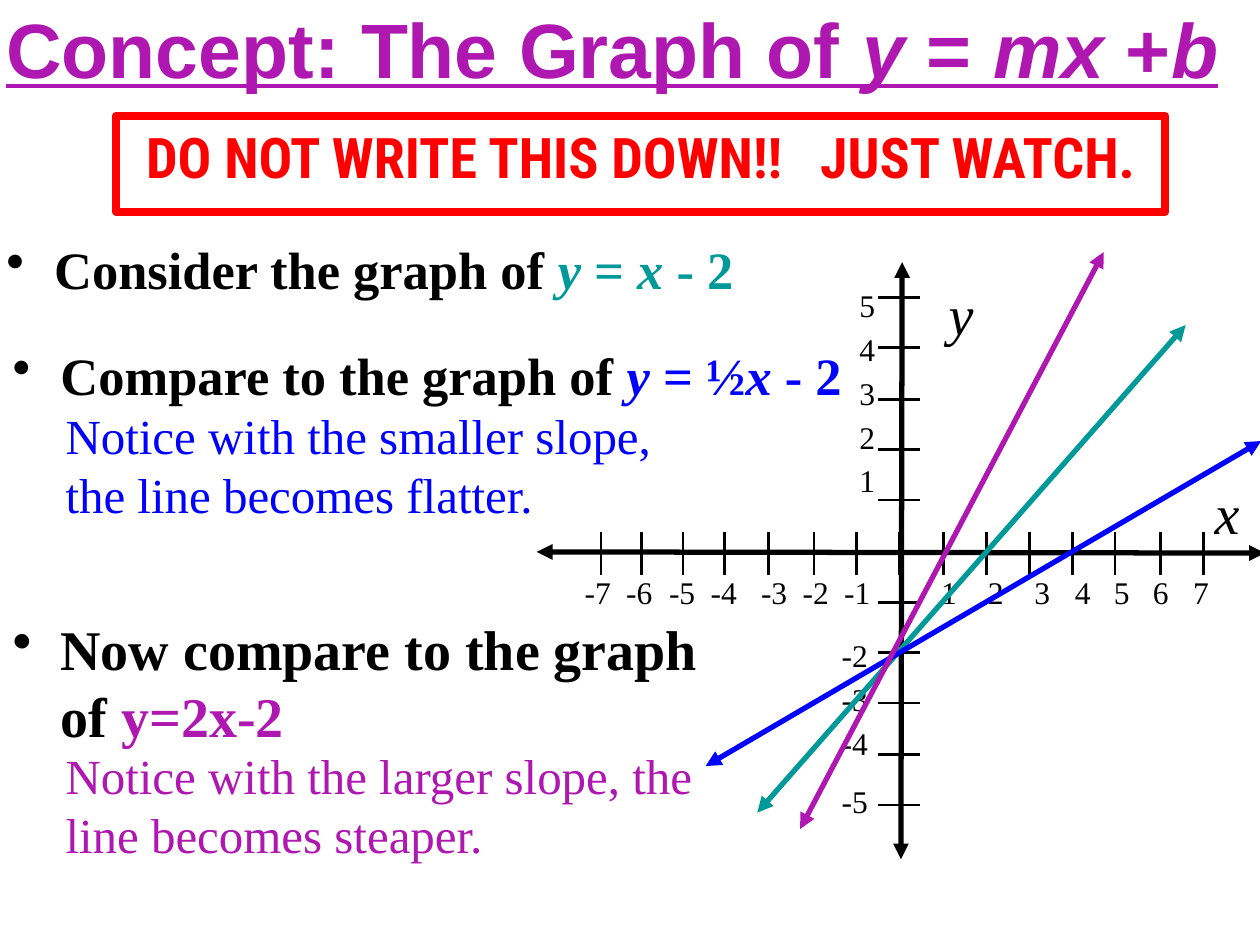
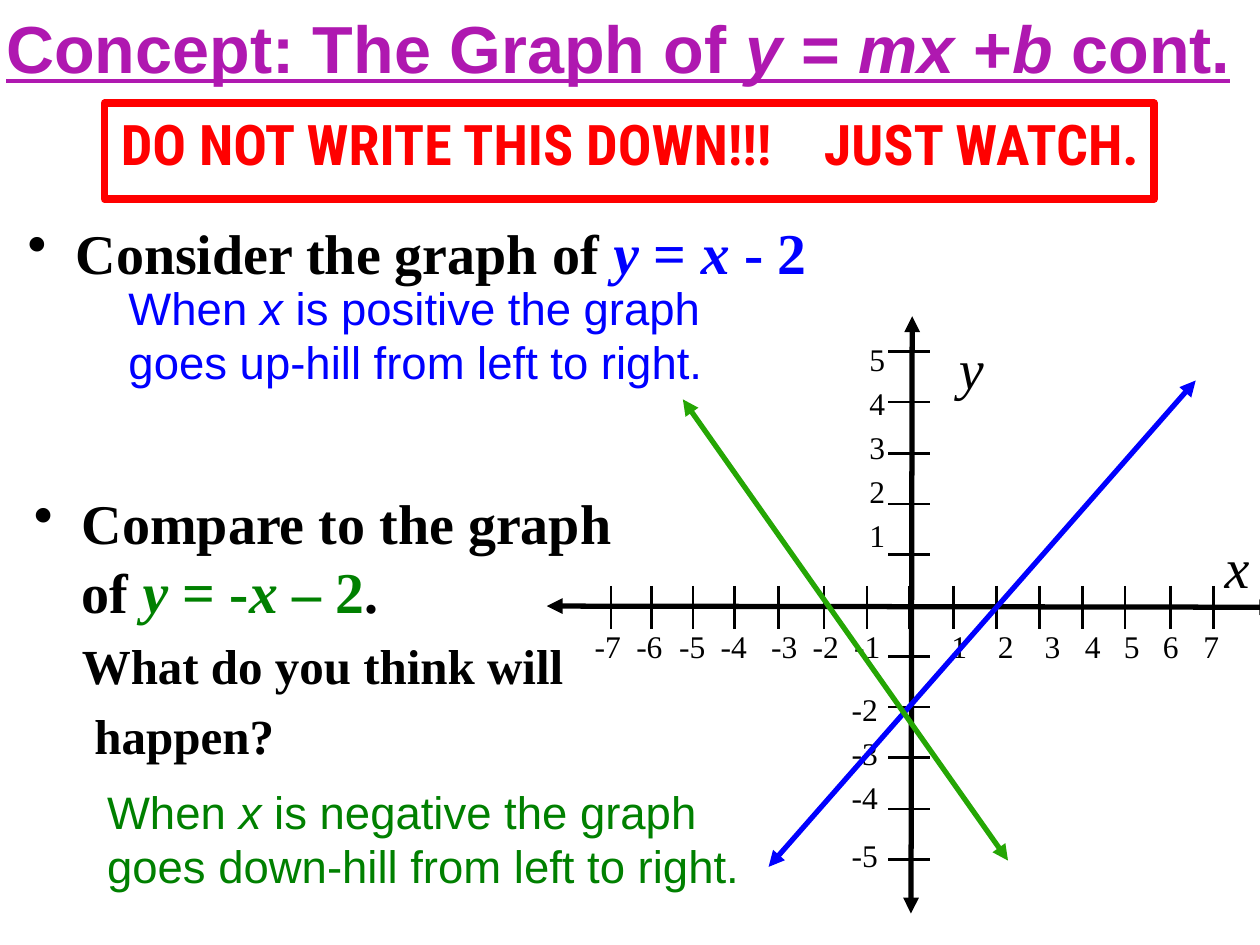
import dataclasses

import pptx
import pptx.dml.color
import pptx.enum.shapes
import pptx.enum.text
import pptx.oxml.ns
import pptx.util
from lxml import etree

PX = 9144  # EMU in one px; the page is 1000 by 750 px


@dataclasses.dataclass(frozen=True)
class Theme:
    black: str = "000000"
    purple: str = "AF18B0"
    red: str = "FF0000"
    teal: str = "009999"
    blue: str = "0000FF"
    green: str = "008000"
    leaf: str = "25A604"
    sans: str = "Arial"
    serif: str = "Times New Roman"
    narrow: str = "Roboto Condensed"
    number: int = 18
    remark: int = 26
    note: int = 28
    point: int = 30
    large: int = 32
    formula: int = 33
    axis_line: float = 3
    tick_line: float = 1.5
    frame_line: float = 4.5


theme = Theme()
rgb = pptx.dml.color.RGBColor.from_string
qn = pptx.oxml.ns.qn


def write(page, at, *lines, font=theme.serif, size=theme.large, color=theme.black,
          bold=False, underline=False, bullet=False, tabs=(), gap=0, spacing=None,
          anchor=pptx.enum.text.MSO_ANCHOR.TOP):
    """Add a text box; a line is a list of (text, format) spans, with *italics* in stars.

    A bullet goes on the first line only; the lines after it hang under its text.
    """
    box = page.shapes.add_textbox(*(length * PX for length in at))
    frame = box.text_frame
    frame.word_wrap = True
    frame.vertical_anchor = anchor
    frame.margin_left = frame.margin_right = frame.margin_top = frame.margin_bottom = 5 * PX
    for row, line in enumerate(lines):
        para = frame.add_paragraph() if row else frame.paragraphs[0]
        props = para._p.get_or_add_pPr()
        if bullet:
            props.set("marL", str(38 * PX))
            props.set("indent", str(0 if row else -38 * PX))
            if row == 0:
                etree.SubElement(props, qn("a:buChar"), char="•")
        if tabs:
            stops = etree.SubElement(props, qn("a:tabLst"))
            for stop in tabs:
                etree.SubElement(stops, qn("a:tab"), pos=str(stop * PX), algn="l")
        if row:
            para.space_before = pptx.util.Pt(gap)
        if spacing:
            para.line_spacing = spacing
        for text, look in line:
            for part, piece in enumerate(text.split("*")):
                if piece:
                    span = para.add_run()
                    span.text = piece
                    span.font.name = font
                    span.font.size = pptx.util.Pt(look.get("size", size))
                    span.font.color.rgb = rgb(look.get("color", color))
                    span.font.bold = bold
                    span.font.underline = underline
                    span.font.italic = part % 2 == 1
    return frame.paragraphs


def draw_line(page, start, end, color=theme.black, width=theme.axis_line, arrows=True):
    line = page.shapes.add_connector(pptx.enum.shapes.MSO_CONNECTOR.STRAIGHT,
                                     *(length * PX for length in (*start, *end)))
    line.line.color.rgb = rgb(color)
    line.line.width = pptx.util.Pt(width)
    if arrows:
        for tip in ("a:headEnd", "a:tailEnd"):
            etree.SubElement(line.line._ln, qn(tip), type="triangle")
    etree.SubElement(line._element.spPr, qn("a:effectLst"))


deck = pptx.Presentation()
deck.slide_width, deck.slide_height = 1000 * PX, 750 * PX

x_ticks = (477, 509, 542, 575, 610, 646, 680, 714, 749, 783, 817, 851, 885, 921, 955)
y_ticks = [round(236 + 40.3 * step) for step in range(11)]
x_numbers = "\t".join(str(number) for number in range(-7, 8) if number)
x_number_tabs = (33, 67, 100, 140, 173, 206, 283, 320, 357, 389, 420, 451, 483)

# Per page: title and its size, banner corner, warning, warning left and tab, axes offset
shared_parts = (
    ("Concept: The Graph of *y* = *mx* +*b*", 44, (92, 92),
     "DO NOT WRITE THIS DOWN!!\tJUST WATCH.", 111, 535, (0, 0)),
    ("Concept: The Graph of *y* = *mx* +*b* cont.", 38, (83, 82),
     "DO NOT WRITE THIS DOWN!!!\tJUST WATCH.", 91, 558, (8, 43)),
)
pages = []
for title, title_size, corner, warning, warning_left, warning_tab, (dx, dy) in shared_parts:
    page = deck.slides.add_slide(deck.slide_layouts[6])
    pages.append(page)
    write(page, (0, -25, 1000, 125), [(title, {})], font=theme.sans, size=title_size,
          color=theme.purple, bold=True, underline=True,
          anchor=pptx.enum.text.MSO_ANCHOR.MIDDLE)

    banner = page.shapes.add_shape(pptx.enum.shapes.MSO_SHAPE.RECTANGLE, corner[0] * PX,
                                   corner[1] * PX, 833 * PX, 76 * PX)
    banner.shadow.inherit = False
    banner.fill.background()
    banner.line.color.rgb = rgb(theme.red)
    banner.line.width = pptx.util.Pt(theme.frame_line)
    write(page, (warning_left, corner[1], 840, 76), [(warning, {})], font=theme.narrow,
          color=theme.red, bold=True, tabs=(warning_tab,))

    draw_line(page, (715 + dx, 682 + dy), (716 + dx, 208 + dy))
    draw_line(page, (426 + dx, 438 + dy), (1004 + dx, 439 + dy))
    for y in y_ticks:
        draw_line(page, (697 + dx, y + dy), (730 + dx, y + dy),
                  width=theme.tick_line, arrows=False)
    for x in x_ticks:
        draw_line(page, (x + dx, 422 + dy), (x + dx, 456 + dy),
                  width=theme.tick_line, arrows=False)

    write(page, (677 + dx, 230 + dy, 30, 181), *([(number, {})] for number in "54321"),
          size=theme.number, gap=10, spacing=0.7)
    below = write(page, (663 + dx, 508 + dy, 45, 145),
                  *([(f"-{number}", {})] for number in "2345"),
                  size=theme.number, gap=10, spacing=0.7)
    below[-1].line_spacing = 1.1
    write(page, (459 + dx, 450 + dy, 547, 38), [(x_numbers, {})],
          size=theme.number, tabs=x_number_tabs)
    write(page, (748 + dx, 217 + dy, 40, 60), [("*y*", {})])
    write(page, (959 + dx, 375 + dy, 53, 60), [("*x*", {})])

slopes, signs = pages

# Slide 1: how the size of the slope changes the line
draw_line(slopes, (601, 645), (941, 258), theme.teal)
draw_line(slopes, (560, 608), (1001, 350), theme.blue)
draw_line(slopes, (635, 658), (876, 200), theme.purple)
write(slopes, (0, 183, 683, 76),
      [("Consider the graph of ", {}), ("*y* = *x* - 2", {"color": theme.teal})],
      size=theme.point, bold=True, bullet=True)
write(slopes, (5, 267, 673, 61),
      [("Compare to the graph of ", {}), ("*y* = ½*x* - 2", {"color": theme.blue})],
      size=theme.point, bold=True, bullet=True)
write(slopes, (5, 483, 582, 116),
      [("Now compare to the graph of ", {}), ("y=2x-2", {"color": theme.purple})],
      bold=True, bullet=True)
for top, color, note in (
        (317, theme.blue, "Notice with the smaller slope, the line becomes flatter."),
        (587, theme.purple, "Notice with the larger slope, the line becomes steaper.")):
    write(slopes, (47, top, 515, 104), [(note, {})], size=theme.note, color=color)

# Slide 2: how the sign of the slope changes the line
draw_line(signs, (610, 688), (949, 302), theme.blue)
draw_line(signs, (800, 683), (542, 317), theme.leaf)
write(signs, (17, 167, 692, 76),
      [("Consider the graph of ", {}),
       ("*y* = *x* - 2", {"color": theme.blue, "size": theme.formula})],
      bold=True, bullet=True)
question = write(signs, (22, 383, 507, 231),
                 [("Compare to the graph of ", {}),
                  ("*y* = -*x* – 2", {"color": theme.green, "size": theme.formula}),
                  (".", {})],
                 [("What do you think will", {"size": theme.note})],
                 [("happen?", {"size": theme.note})],
                 bold=True, bullet=True, gap=6)
question[-1]._p.get_or_add_pPr().set("marL", str(48 * PX))
for at, color, remark in (
        ((97, 217, 473, 95), theme.blue,
         "When *x *is positive the graph goes up-hill from left to right."),
        ((80, 617, 523, 95), theme.green,
         "When *x *is negative the graph goes down-hill from left to right.")):
    write(signs, at, [(remark, {})], font=theme.sans, size=theme.remark, color=color)

deck.save("out.pptx")
